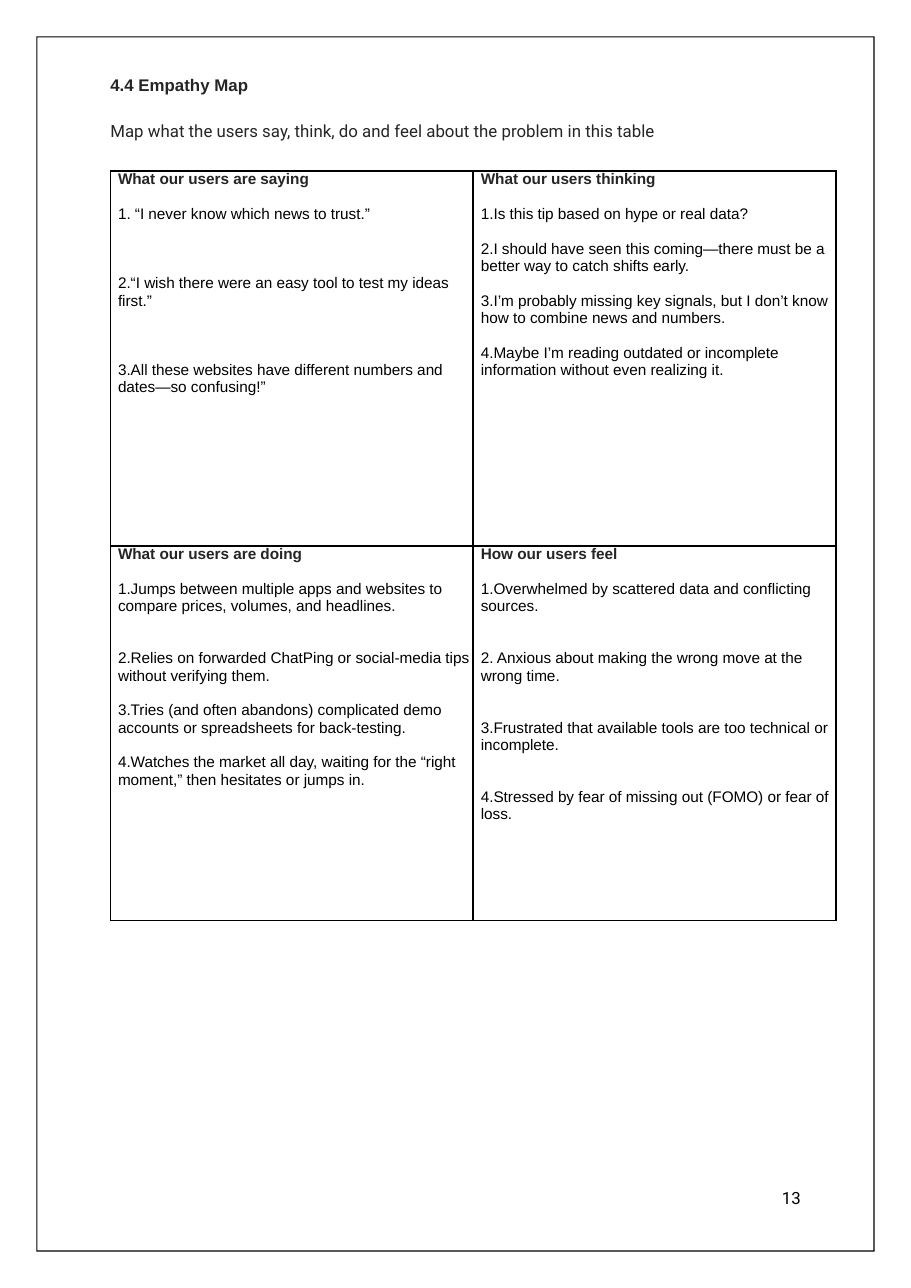
from lxml import etree
from pptx import Presentation
from pptx import util as u
from pptx.dml.color import RGBColor
from pptx.enum import shapes
from pptx.oxml.ns import qn

PAGE = (8.26, 11.68)
FRAME = (0.33, 0.33, 7.6, 11.02)
GRID = (1, 1.55, 6.58, 6.8)
DARK, BLACK = "252525", "000000"
PITCH = 11.3

TITLE = "4.4 Empathy Map"
INTRO = "Map what the users say, think, do and feel about the problem in this table"
NUMBER = "13"

CELLS = [
    [
        ("What our users are saying", [
            (1, " “I never know which news to trust.”"),
            (3, "“I wish there were an easy tool to test my ideas first.”"),
            (3, "All these websites have different numbers and dates—so confusing!”"),
        ]),
        ("What our users thinking", [
            (1, "Is this tip based on hype or real data?"),
            (1, "I should have seen this coming—there must be a better way to catch shifts early."),
            (1, "I’m probably missing key signals, but I don’t know how to combine news and numbers."),
            (1, "Maybe I’m reading outdated or incomplete information without even realizing it."),
        ]),
    ],
    [
        ("What our users are doing", [
            (1, "Jumps between multiple apps and websites to compare prices, volumes, and headlines."),
            (2, "Relies on forwarded ChatPing or social-media tips without verifying them."),
            (1, "Tries (and often abandons) complicated demo accounts or spreadsheets for back-testing."),
            (1, "Watches the market all day, waiting for the “right moment,” then hesitates or jumps in."),
        ]),
        ("How our users feel", [
            (1, "Overwhelmed by scattered data and conflicting sources."),
            (2, " Anxious about making the wrong move at the wrong time."),
            (2, "Frustrated that available tools are too technical or incomplete."),
            (2, "Stressed by fear of missing out (FOMO) or fear of loss."),
        ]),
    ],
]


def hue(code):
    return RGBColor.from_string(code)


def write(frame, words, size=11, font="Arial", color=BLACK, bold=False,
          before=0, pitch=None, indent=0.01, num=None):
    para = frame.paragraphs[0]
    if para.runs:
        para = frame.add_paragraph()
    props = para._p.get_or_add_pPr()
    props.set("marL", str(u.Inches(indent)))
    props.set("indent", "0")
    if num:
        etree.SubElement(props, qn("a:buFont"), typeface="+mj-lt")
        etree.SubElement(props, qn("a:buAutoNum"), type="arabicPeriod", startAt=str(num))
    if before:
        para.space_before = u.Pt(before)
    if pitch:
        para.line_spacing = u.Pt(pitch)
    run = para.add_run()
    run.text = words
    run.font.size = u.Pt(size)
    run.font.name = font
    run.font.bold = bold
    run.font.color.rgb = hue(color)


def box(left, top, width, height, inset=0):
    frame = slide.shapes.add_textbox(*map(u.Inches, (left, top, width, height))).text_frame
    frame.word_wrap = True
    frame.margin_left = frame.margin_right = frame.margin_bottom = 0
    frame.margin_top = u.Inches(inset)
    return frame


def border(cell):
    props = cell._tc.get_or_add_tcPr()
    for side in "LRTB":
        line = etree.SubElement(props, qn("a:ln" + side), w=str(u.Pt(1)))
        fill = etree.SubElement(line, qn("a:solidFill"))
        etree.SubElement(fill, qn("a:srgbClr"), val=BLACK)


deck = Presentation()
deck.slide_width, deck.slide_height = map(u.Inches, PAGE)
slide = deck.slides.add_slide(deck.slide_layouts[6])

head = box(0.99, 0.66, 4.98, 0.62, inset=0.02)
write(head, TITLE, color=DARK, bold=True)
write(head, INTRO, font="Roboto", color=DARK, before=16.5)

rows, cols = len(CELLS), len(CELLS[0])
table = slide.shapes.add_table(rows, cols, *map(u.Inches, GRID)).table
table.first_row = table.horz_banding = False
for r, row in enumerate(CELLS):
    for c, (label, items) in enumerate(row):
        cell = table.cell(r, c)
        cell.margin_left = cell.margin_right = cell.margin_top = cell.margin_bottom = 0
        border(cell)
        cell.fill.background()
        look = dict(size=10, pitch=PITCH, indent=0.07)
        write(cell.text_frame, label, color=DARK, bold=True, **look)
        for num, (gap, words) in enumerate(items, 1):
            write(cell.text_frame, words, before=gap * PITCH, num=num, **look)

edge = slide.shapes.add_shape(shapes.MSO_SHAPE.FRAME, *map(u.Inches, FRAME))
edge.adjustments[0] = 0.01 / FRAME[2]
edge.shadow.inherit = False
edge.fill.solid()
edge.fill.fore_color.rgb = hue(BLACK)
edge.line.fill.background()

write(box(7.08, 10.77, 0.24, 0.2), NUMBER, font="Roboto")

deck.save("out.pptx")
